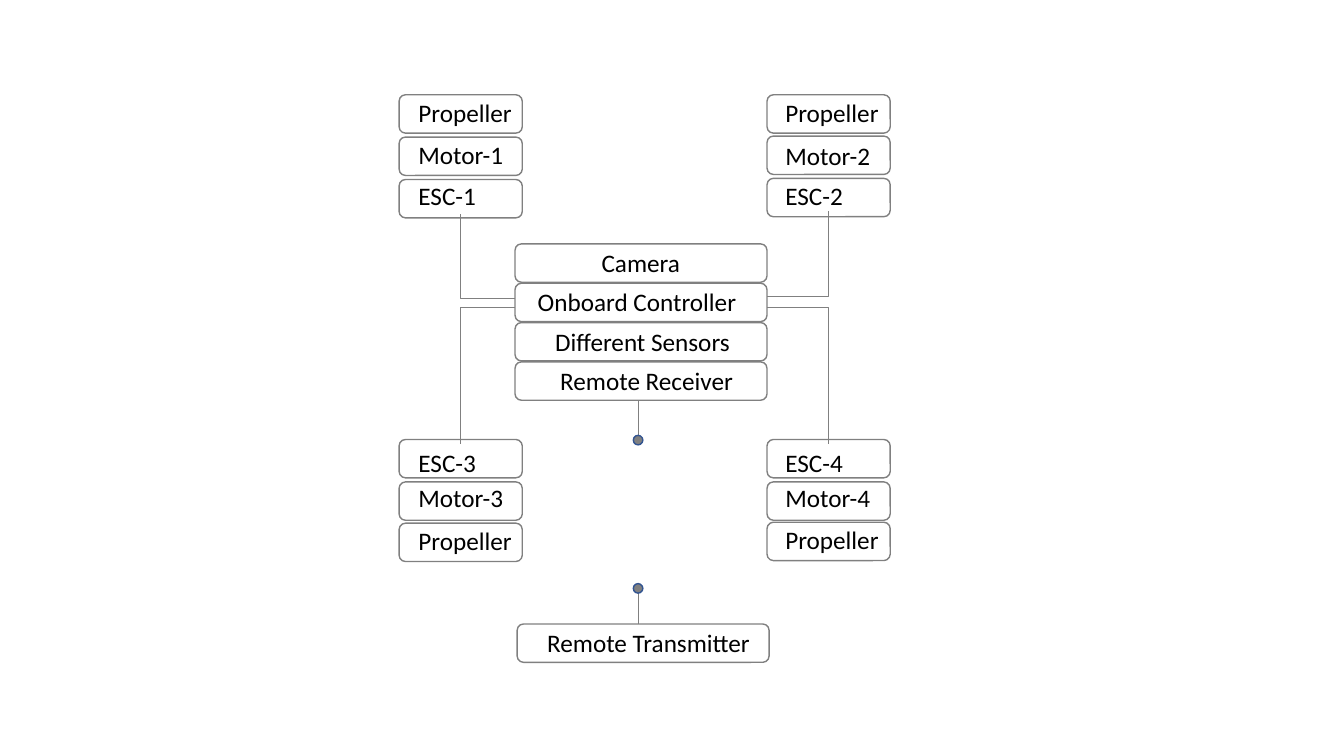
from pptx import Presentation
from pptx.dml.color import RGBColor
from pptx.enum.shapes import MSO_CONNECTOR, MSO_SHAPE
from pptx.enum.text import MSO_AUTO_SIZE
from pptx.oxml.ns import qn
from pptx.util import Pt
from lxml.etree import SubElement

COLORS = {"text": "000000", "line": "808080", "dot": "808080", "rim": "325491"}
HIGH = 27.4
ARM = 88
CORE = 180
WIDTHS = {"Prop": 82.1, "Moto": 76.3, "ESC-": 56.2}

ARMS = [
    (285.1, 291.8, [("Propeller", 67.7, 65.8), ("Motor-1", 97.9, 95.8),
                    ("ESC-1", 128.2, 125.3)]),
    (547.9, 553.9, [("Propeller", 67.7, 66.2), ("Motor-2", 97.2, 96.5),
                    ("ESC-2", 127.4, 125.3)]),
    (285.1, 291.8, [("ESC-3", 313.9, 316.1), ("Motor-3", 344.2, 340.8),
                    ("Propeller", 373.7, 371.9)]),
    (547.9, 553.9, [("ESC-4", 313.9, 316.1), ("Motor-4", 344.2, 340.8),
                    ("Propeller", 373, 370.8)]),
]
STACK = [("Camera", 422.6, 71.3), ("Onboard Controller", 377, 172),
         ("Different Sensors", 389.5, 141.1), ("Remote Receiver", 393.1, 139.7)]
BENDS = [(367.9, 213.1, 329, 152.6), (547.9, 211.7, 591.8, 150.5),
         (367.9, 219.6, 329, 316.8), (547.9, 219.6, 591.8, 316.8)]


def color(key):
    return RGBColor.from_string(COLORS[key])


def label(slide, text, left, top, width):
    box = slide.shapes.add_textbox(Pt(left), Pt(top), Pt(width), Pt(28.8))
    frame = box.text_frame
    frame.word_wrap = False
    frame.auto_size = MSO_AUTO_SIZE.SHAPE_TO_FIT_TEXT
    frame.text = text
    font = frame.paragraphs[0].runs[0].font
    font.name = "Calibri"
    font.size = Pt(18)
    font.color.rgb = color("text")


def block(slide, left, top, width):
    box = slide.shapes.add_shape(MSO_SHAPE.ROUNDED_RECTANGLE,
                                 Pt(left), Pt(top), Pt(width), Pt(HIGH))
    box.shadow.inherit = False
    box.fill.background()
    box.line.color.rgb = color("line")
    box.line.width = Pt(1)


def wire(slide, ends, bent=False):
    kind = MSO_CONNECTOR.ELBOW if bent else MSO_CONNECTOR.STRAIGHT
    line = slide.shapes.add_connector(kind, *[Pt(end) for end in ends])
    line.line.color.rgb = color("line")
    line.line.width = Pt(0.5)
    props = line._element.spPr
    if bent:
        props.find(qn("a:prstGeom")).set("prst", "bentConnector2")
    SubElement(props, qn("a:effectLst"))


def dot(slide, top):
    mark = slide.shapes.add_shape(MSO_SHAPE.OVAL,
                                  Pt(452.4), Pt(top), Pt(6.8), Pt(6.8))
    mark.shadow.inherit = False
    mark.fill.solid()
    mark.fill.fore_color.rgb = color("dot")
    mark.line.color.rgb = color("rim")
    mark.line.width = Pt(1)


def main():
    deck = Presentation()
    deck.slide_width = Pt(960)
    deck.slide_height = Pt(540)
    slide = deck.slides.add_slide(deck.slide_layouts[6])

    for left, inset, parts in ARMS:
        for text, top, base in parts:
            label(slide, text, inset, base, WIDTHS[text[:4]])
            block(slide, left, top, ARM)

    for row, (text, left, width) in enumerate(STACK):
        top = 174.2 + row * 28.1
        label(slide, text, left, top - 1.2, width)
        block(slide, 367.9, top, CORE)

    label(slide, "Remote Transmitter", 383.8, 444.7, 161.3)
    block(slide, 369.4, 445.7, CORE)

    for ends in BENDS:
        wire(slide, ends, bent=True)

    for start, mark in [(285.8, 311), (417.6, 416.9)]:
        wire(slide, (455.8, start, 455.8, start + 28.1))
        dot(slide, mark)

    deck.save("out.pptx")


if __name__ == "__main__":
    main()
